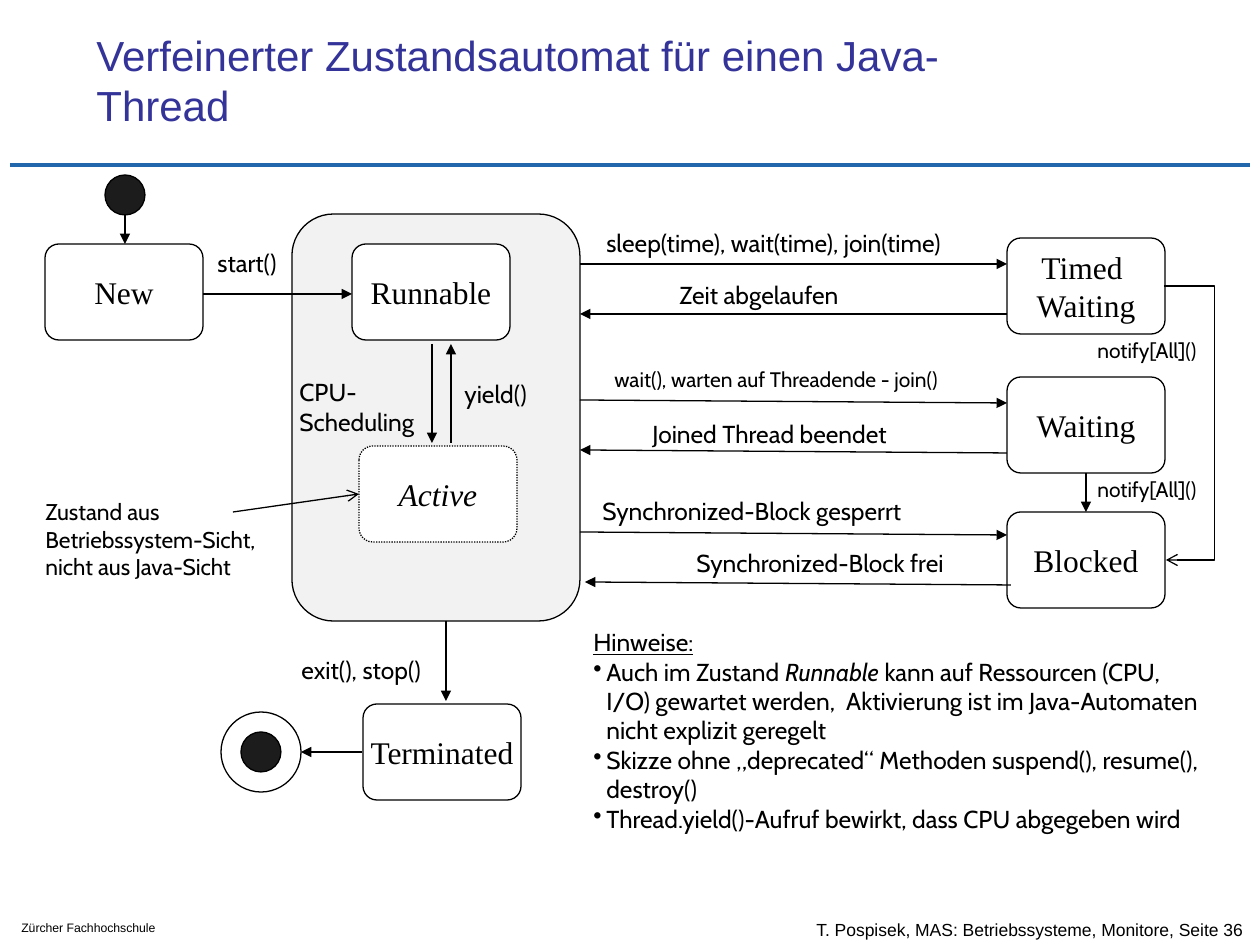
from pptx import Presentation
from pptx.dml.color import RGBColor
from pptx.enum.dml import MSO_LINE
from pptx.enum.shapes import MSO_CONNECTOR, MSO_SHAPE
from pptx.enum.text import MSO_ANCHOR, MSO_AUTO_SIZE, PP_ALIGN
from pptx.oxml.ns import qn
from pptx.util import Pt
from lxml import etree

STRAIGHT, ELBOW = MSO_CONNECTOR.STRAIGHT, MSO_CONNECTOR.ELBOW
ROUNDED, OVAL = MSO_SHAPE.ROUNDED_RECTANGLE, MSO_SHAPE.OVAL
TOP, MIDDLE, BOTTOM = MSO_ANCHOR.TOP, MSO_ANCHOR.MIDDLE, MSO_ANCHOR.BOTTOM
CENTER = PP_ALIGN.CENTER
FIT, FIXED = MSO_AUTO_SIZE.SHAPE_TO_FIT_TEXT, MSO_AUTO_SIZE.NONE
DOTTED = MSO_LINE.ROUND_DOT

COLORS = {"ink": "000000", "title": "333399", "rule": "2266AB",
          "paper": "FFFFFF", "group": "F2F2F2", "dot": "1C1C1C"}
STATE_W, STATE_H = 158, 96


def px(length):
    return round(length * 914400 / 126)


def rgb(name):
    return RGBColor.from_string(COLORS[name])


class StateDiagram:
    """Draws the elements of a state diagram on one slide in a shared style."""

    label_font, state_font, page_font = "Cabin", "Times New Roman", "Arial"
    line_width = 0.75

    def __init__(self, slide):
        self.shapes = slide.shapes

    def style(self, frame, font, size, color="ink", italic=None):
        for paragraph in frame.paragraphs:
            for run in paragraph.runs:
                run.font.name = font
                run.font.size = Pt(size)
                run.font.color.rgb = rgb(color)
                if italic is not None:
                    run.font.italic = italic

    def outline(self, kind, x, y, w, h, fill):
        shape = self.shapes.add_shape(kind, px(x), px(y), px(w), px(h))
        shape.shadow.inherit = False
        shape.fill.solid()
        shape.fill.fore_color.rgb = rgb(fill)
        shape.line.color.rgb = rgb("ink")
        shape.line.width = Pt(self.line_width)
        if kind == ROUNDED:
            shape.adjustments[0] = 0.144
        return shape

    def circle(self, center_x, center_y, diameter, fill="dot"):
        radius = diameter / 2
        self.outline(OVAL, center_x - radius, center_y - radius, diameter, diameter, fill)

    def state(self, name, x, y, inner=False):
        shape = self.outline(ROUNDED, x, y, STATE_W, STATE_H, "paper")
        frame = shape.text_frame
        frame.text = name
        frame.word_wrap = False
        frame.vertical_anchor = MIDDLE
        for paragraph in frame.paragraphs:
            paragraph.alignment = CENTER
        self.style(frame, self.state_font, 18, italic=inner)
        if inner:
            shape.line.dash_style = DOTTED

    def box(self, x, y, w, h, wrap=False, anchor=TOP, fit=FIT):
        frame = self.shapes.add_textbox(px(x), px(y), px(w), px(h)).text_frame
        frame.word_wrap = wrap
        frame.auto_size = fit
        frame.vertical_anchor = anchor
        return frame

    def label(self, text, x, y, w, h=42, size=14):
        frame = self.box(x, y, w, h)
        frame.text = text
        self.style(frame, self.label_font, size)

    def page_text(self, text, x, y, w, h, size, color="ink", anchor=TOP):
        frame = self.box(x, y, w, h, wrap=True, anchor=anchor, fit=FIXED)
        frame.text = text
        self.style(frame, self.page_font, size, color)

    def notes(self, heading, points, x, y, w, h):
        frame = self.box(x, y, w, h, wrap=True)
        frame.text = "\n".join([heading] + ["".join(point) for point in points])
        for paragraph, point in zip(frame.paragraphs[1:], points):
            properties = paragraph._p.get_or_add_pPr()
            etree.SubElement(properties, qn("a:buChar"), char="•")
            paragraph.text = point[0]
            for index, part in enumerate(point[1:], 1):
                run = paragraph.add_run()
                run.text = part
                run.font.italic = index % 2 == 1
        for paragraph in frame.paragraphs:
            properties = paragraph._p.get_or_add_pPr()
            properties.set("marL", str(px(13)))
            properties.set("indent", str(-px(13)))
        self.style(frame, self.label_font, 14)
        frame.paragraphs[0].runs[0].font.underline = True

    def line(self, start, end, head="triangle", kind=STRAIGHT, color="ink", width=line_width):
        connector = self.shapes.add_connector(kind, *map(px, start + end))
        connector.line.color.rgb = rgb(color)
        connector.line.width = Pt(width)
        properties = connector._element.spPr
        if head:
            etree.SubElement(connector.line._get_or_add_ln(), qn("a:tailEnd"), type=head)
        etree.SubElement(properties, qn("a:effectLst"))
        return connector

    def detour(self, start, end, turn_x):
        connector = self.line(start, end, "arrow", ELBOW)
        bend = round((turn_x - start[0]) / (end[0] - start[0]) * 100000)
        guides = connector._element.spPr.find(qn("a:prstGeom")).get_or_add_avLst()
        etree.SubElement(guides, qn("a:gd"), name="adj1", fmla=f"val {bend}")


def main():
    presentation = Presentation()
    presentation.slide_width, presentation.slide_height = px(1260), px(945)
    diagram = StateDiagram(presentation.slides.add_slide(presentation.slide_layouts[6]))

    diagram.line((10, 165), (1250, 165), None, color="rule", width=2.5)
    diagram.page_text("T. Pospisek, MAS: Betriebssysteme, Monitore, Seite 36",
                      804, 908, 456, 42, 10, anchor=MIDDLE)
    diagram.page_text("Zürcher Fachhochschule", 9, 914, 217, 28, 7)
    diagram.page_text("Verfeinerter Zustandsautomat für einen Java-Thread",
                      84, 42, 888, 94, 24, "title", BOTTOM)

    diagram.outline(ROUNDED, 292, 214, 288, 407, "group")
    for name, x, y in (("New", 45, 244), ("Runnable", 352, 244),
                       ("Timed \nWaiting", 1007, 238), ("Waiting", 1007, 377),
                       ("Blocked", 1007, 512), ("Terminated", 363, 704)):
        diagram.state(name, x, y)
    diagram.state("Active", 359, 446, inner=True)

    diagram.circle(125, 195, 40)
    diagram.circle(261, 752, 80, "paper")
    diagram.circle(261, 752, 40)

    for start, end in (((125, 214), (125, 244)), ((203, 294), (352, 294)),
                       ((432, 344), (432, 443)), ((451, 443), (451, 344)),
                       ((446, 621), (446, 701)), ((362, 752), (301, 752)),
                       ((580, 264), (1007, 264)), ((1007, 314), (580, 314)),
                       ((580, 400), (1007, 403)), ((1007, 453), (580, 450)),
                       ((580, 532), (1007, 535)), ((1011, 585), (585, 582)),
                       ((1086, 473), (1086, 512))):
        diagram.line(start, end)
    diagram.line((233, 512), (359, 494), "arrow")
    diagram.detour((1164, 286), (1166, 560), 1215)

    for text, x, y, w in (("start()", 205, 242, 93), ("exit(), stop()", 289, 649, 160),
                          ("yield()", 452, 373, 93),
                          ("sleep(time), wait(time), join(time)", 594, 222, 403),
                          ("Zeit abgelaufen", 667, 274, 205),
                          ("Joined Thread beendet", 640, 413, 318),
                          ("Synchronized-Block gesperrt", 590, 490, 355),
                          ("Synchronized-Block frei", 684, 542, 312)):
        diagram.label(text, x, y, w)
    diagram.label("CPU-\nScheduling", 287, 371, 152, 72)
    diagram.label("Zustand aus\nBetriebssystem-Sicht,\nnicht aus Java-Sicht",
                  33, 492, 260, 95, 13)
    diagram.label("wait(), warten auf Threadende - join()", 602, 360, 393, 38, 12)
    for y in (331, 470):
        diagram.label("notify[All]()", 1085, y, 132, 38, 12)

    diagram.notes("Hinweise:", (
        ("Auch im Zustand ", "Runnable",
         " kann auf Ressourcen (CPU, I/O) gewartet werden,  Aktivierung ist im "
         "Java-Automaten nicht explizit geregelt"),
        ("Skizze ohne „deprecated“ Methoden suspend(), resume(), destroy()",),
        ("Thread.yield()-Aufruf bewirkt, dass CPU abgegeben wird",),
    ), 581, 621, 630, 248)

    presentation.save("out.pptx")


if __name__ == "__main__":
    main()
